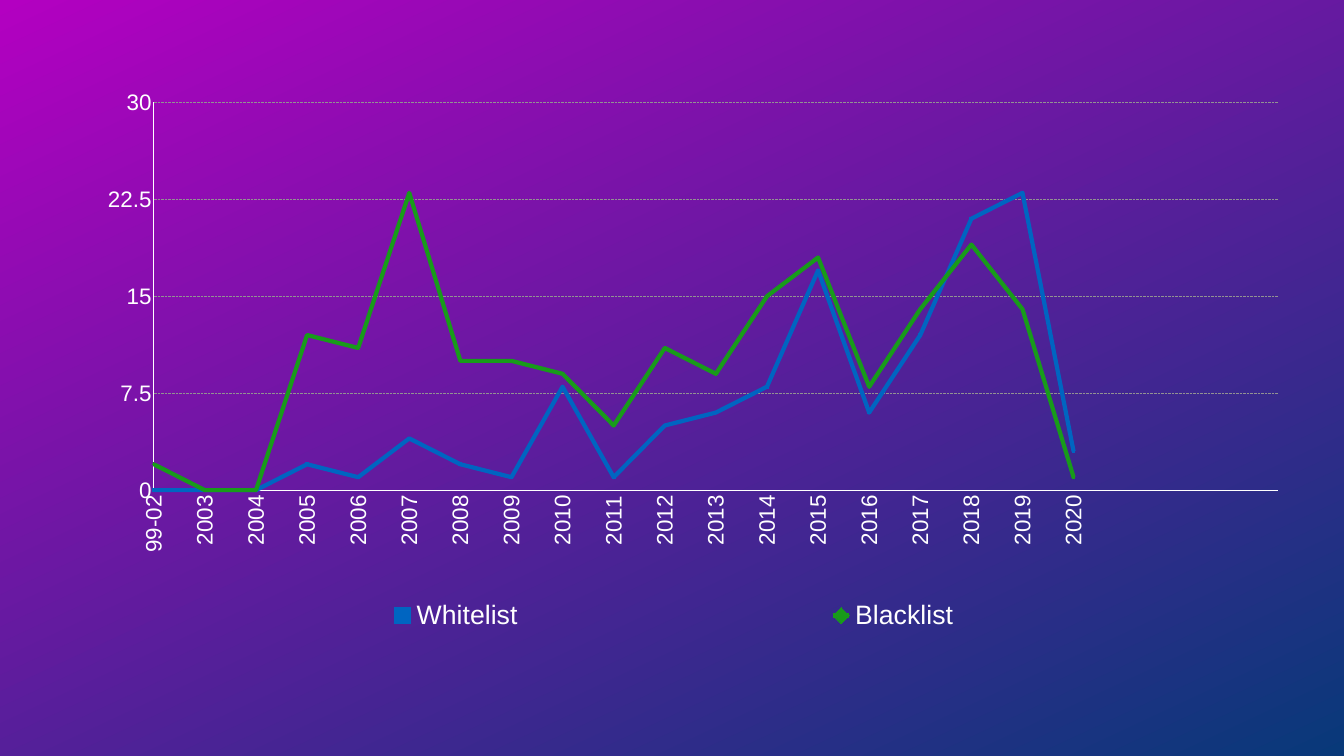
from dataclasses import dataclass

from lxml import etree
from pptx import Presentation
from pptx.chart.data import CategoryChartData
from pptx.dml.color import RGBColor
from pptx.enum.chart import (XL_CHART_TYPE, XL_LEGEND_POSITION, XL_MARKER_STYLE,
                             XL_TICK_LABEL_POSITION, XL_TICK_MARK)
from pptx.enum.dml import MSO_LINE
from pptx.oxml.ns import qn
from pptx.util import Emu, Pt

LINE_MARKERS = XL_CHART_TYPE.LINE_MARKERS
BOTTOM = XL_LEGEND_POSITION.BOTTOM
MARKERS = (XL_MARKER_STYLE.SQUARE, XL_MARKER_STYLE.DIAMOND)
LOW = XL_TICK_LABEL_POSITION.LOW
NO_TICK = XL_TICK_MARK.NONE
DOTTED = MSO_LINE.ROUND_DOT
BLANK_LAYOUT = 6


@dataclass(frozen=True)
class Theme:
    font: str = "Arial"
    text: str = "FFFFFF"
    grid: str = "929292"
    gradient: tuple = ("B300C1", "083979")
    gradient_angle: int = 65
    series: tuple = ("0065C1", "189B1A")
    axis_size: int = 32
    legend_size: int = 38
    hairline: int = 1
    series_line: int = 6
    marker_size: int = 4


class Deck:
    def __init__(self, theme, width, height):
        self.theme = theme
        self.presentation = Presentation()
        self.presentation.slide_width = self.px(width)
        self.presentation.slide_height = self.px(height)
        self.slide = None

    @staticmethod
    def px(length):
        return Emu(round(length * 914400 / 50.4))

    def add_slide(self):
        layout = self.presentation.slide_layouts[BLANK_LAYOUT]
        self.slide = self.presentation.slides.add_slide(layout)
        fill = self.slide.background.fill
        fill.gradient()
        fill.gradient_angle = 360 - self.theme.gradient_angle
        for stop, position, color in zip(fill.gradient_stops, (0, 1), self.theme.gradient):
            stop.position = position
            stop.color.rgb = RGBColor.from_string(color)

    def style_font(self, font, size):
        font.name = self.theme.font
        font.size = Pt(size)
        font.color.rgb = RGBColor.from_string(self.theme.text)

    def style_line(self, line, color, width):
        line.color.rgb = RGBColor.from_string(color)
        line.width = Pt(width)

    def style_axis(self, axis):
        self.style_font(axis.tick_labels.font, self.theme.axis_size)
        self.style_line(axis.format.line, self.theme.text, self.theme.hairline)
        axis.major_tick_mark = axis.minor_tick_mark = NO_TICK

    def cross_on_categories(self, axis):
        element = axis._element
        for previous in element.findall(qn("c:crossBetween")):
            element.remove(previous)
        crossing = etree.Element(qn("c:crossBetween"))
        crossing.set("val", "midCat")
        anchor = element.find(qn("c:crosses"))
        if anchor is None:
            anchor = element.find(qn("c:crossAx"))
        anchor.addnext(crossing)

    def place(self, parent, index, target, **fractions):
        for previous in parent.findall(qn("c:layout")):
            parent.remove(previous)
        layout = etree.Element(qn("c:layout"))
        manual = etree.SubElement(layout, qn("c:manualLayout"))
        settings = {"xMode": "edge", "yMode": "edge", **fractions}
        if target:
            settings = {"layoutTarget": target, **settings}
        for tag, value in settings.items():
            etree.SubElement(manual, qn(f"c:{tag}")).set("val", str(value))
        parent.insert(index, layout)

    def line_chart(self, years, counts, left, top, width, height, maximum, step):
        data = CategoryChartData(number_format="General")
        data.categories = years
        for name, values in counts.items():
            data.add_series(name, values + [None] * (len(years) - len(values)))
        chart = self.slide.shapes.add_chart(
            LINE_MARKERS, *map(self.px, (left, top, width, height)), data).chart
        chart.has_title = False
        self.style_font(chart.font, self.theme.axis_size)

        year_axis, count_axis = chart.category_axis, chart.value_axis
        for axis in (year_axis, count_axis):
            self.style_axis(axis)
        year_axis.tick_label_position = LOW
        labels = year_axis._element.find(qn("c:txPr")).find(qn("a:bodyPr"))
        labels.set("rot", "-5400000")
        labels.set("vert", "horz")
        count_axis.minimum_scale, count_axis.maximum_scale = 0, maximum
        count_axis.major_unit = step
        self.cross_on_categories(count_axis)
        grid = count_axis.major_gridlines.format.line
        self.style_line(grid, self.theme.grid, self.theme.hairline)
        grid.dash_style = DOTTED

        for series, color, marker in zip(chart.plots[0].series, self.theme.series, MARKERS):
            series.smooth = False
            self.style_line(series.format.line, color, self.theme.series_line)
            series.marker.style = marker
            series.marker.size = self.theme.marker_size
            series.marker.format.fill.solid()
            series.marker.format.fill.fore_color.rgb = RGBColor.from_string(color)
            self.style_line(series.marker.format.line, color, self.theme.hairline)

        chart.has_legend = True
        chart.legend.position = BOTTOM
        chart.legend.include_in_layout = True
        self.style_font(chart.legend.font, self.theme.legend_size)
        plot_area = chart._chartSpace.find(qn("c:chart")).find(qn("c:plotArea"))
        self.place(plot_area, 0, "inner", x=0.055, y=0.047, w=0.94, h=0.69)
        self.place(chart.legend._element, 1, None, x=0, y=0.92, w=0.98, h=0.08)

    def save(self):
        self.presentation.save("out.pptx")


deck = Deck(Theme(), 1344, 756)
deck.add_slide()
deck.line_chart(
    years=["99-02"] + [str(year) for year in range(2003, 2021)] + [""] * 4,
    counts={
        "Whitelist": [0, 0, 0, 2, 1, 4, 2, 1, 8, 1, 5, 6, 8, 17, 6, 12, 21, 23, 3],
        "Blacklist": [2, 0, 0, 12, 11, 23, 10, 10, 9, 5, 11, 9, 15, 18, 8, 14, 19, 14, 1],
    },
    left=88, top=76, width=1196, height=562, maximum=30, step=7.5)
deck.save()
